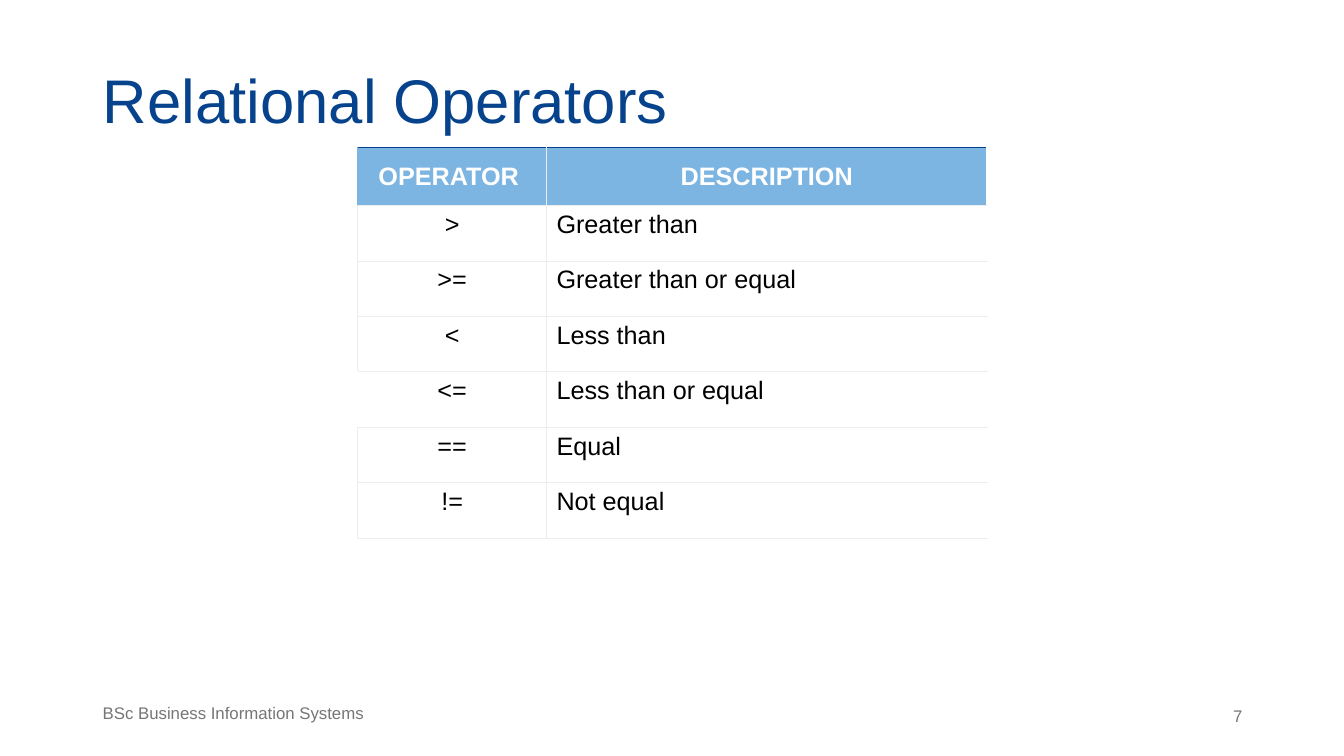
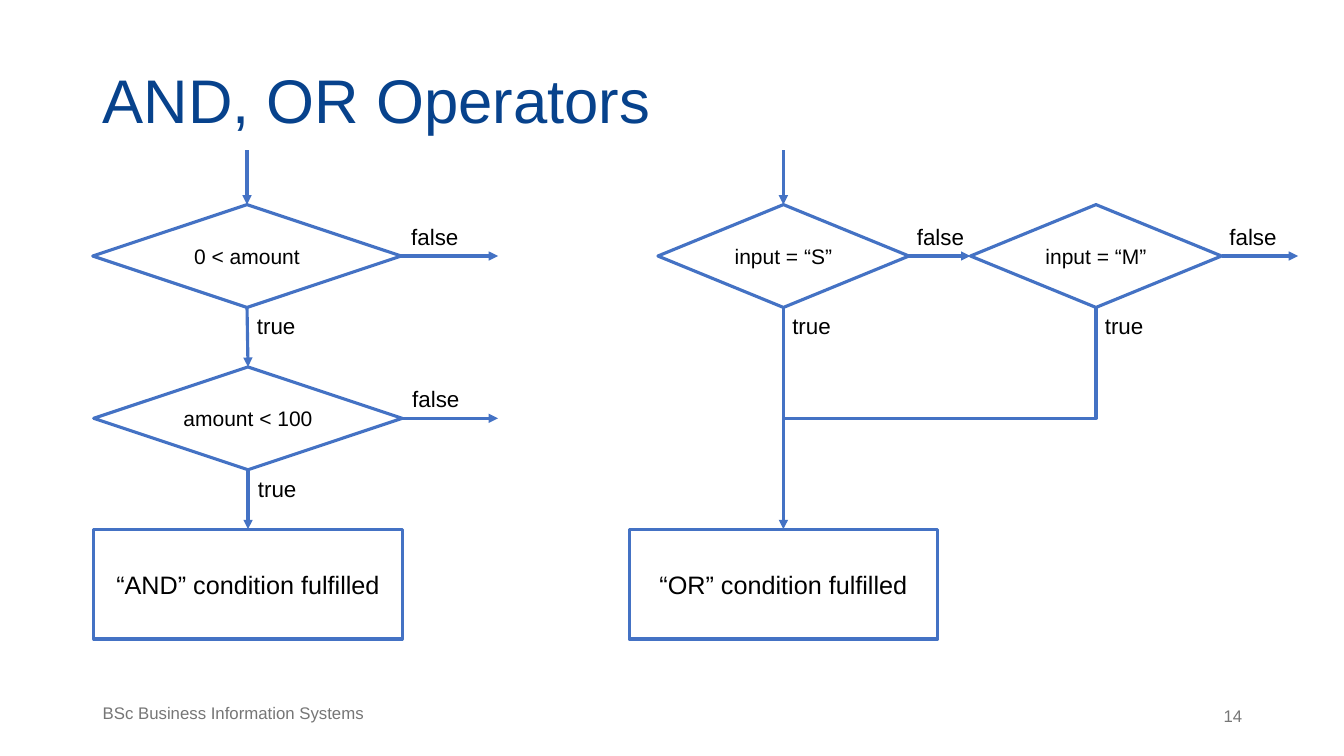
from lxml.etree import SubElement
from pptx import Presentation
from pptx.dml.color import RGBColor
from pptx.enum.shapes import MSO_CONNECTOR, MSO_SHAPE
from pptx.enum.text import MSO_ANCHOR, MSO_AUTO_SIZE, PP_ALIGN
from pptx.oxml.ns import qn
from pptx.util import Inches, Pt

FONT = "Arial"
NAVY, SKY, BLUE = "07428C", "7CB4E2", "4472C4"
WHITE, BLACK, GREY, PALE = "FFFFFF", "000000", "767676", "EDEDED"
TOP, LEFT, BOTTOM, RIGHT = range(4)
DECISION_HEIGHT = 1.02
RESULT_SIZE = (3.06, 1.09)
DECISION_DROP = 0.54
RESULT_DROP = 3.76
OPERATORS = [
    (">", "Greater than"),
    (">=", "Greater than or equal"),
    ("<", "Less than"),
    ("<=", "Less than or equal"),
    ("==", "Equal"),
    ("!=", "Not equal"),
]


def rgb(value):
    return RGBColor.from_string(value)


def apply(target, formats):
    for name, value in formats.items():
        setattr(target, name, value)


def write(frame, text, size, color=BLACK, bold=False, paragraph_format=None, **frame_format):
    apply(frame, {"word_wrap": True, **frame_format})
    frame.text = text
    paragraph = frame.paragraphs[0]
    apply(paragraph, {"alignment": PP_ALIGN.LEFT, **(paragraph_format or {})})
    font = paragraph.runs[0].font
    apply(font, {"name": FONT, "size": Pt(size), "bold": bold})
    font.color.rgb = rgb(color)


def add_label(slide, box, text, size=16, color=BLACK, paragraph_format=None, **frame_format):
    label = slide.shapes.add_textbox(*map(Inches, box))
    write(label.text_frame, text, size, color, paragraph_format=paragraph_format, **frame_format)


def add_titled_slide(deck, heading, number):
    slide = deck.slides.add_slide(deck.slide_layouts[5])
    title = slide.shapes.title
    apply(title, dict(zip(("left", "top", "width", "height"), map(Inches, (0.92, 0.52, 9.38, 0.94)))))
    margins = dict.fromkeys(("margin_left", "margin_top", "margin_right", "margin_bottom"), Inches(0.1))
    write(title.text_frame, heading, 44, NAVY, paragraph_format={"line_spacing": 0.9},
          vertical_anchor=MSO_ANCHOR.BOTTOM, auto_size=MSO_AUTO_SIZE.NONE, **margins)
    add_label(slide, (0.92, 6.94, 3.39, 0.41), "BSc Business Information Systems", 12, GREY,
              {"line_spacing": 0.9, "space_before": Pt(10)})
    add_label(slide, (10.19, 6.95, 2.23, 0.4), str(number), 12, GREY, {"alignment": PP_ALIGN.RIGHT})
    return slide


def set_borders(cell, borders):
    properties = cell._tc.get_or_add_tcPr()
    for side, (color, width) in borders.items():
        border = SubElement(properties, qn(f"a:ln{side}"), w=str(Pt(width)))
        fill = SubElement(border, qn("a:solidFill"))
        SubElement(fill, qn("a:srgbClr"), val=color)


def fill_cell(cell, text, fill, borders, color=BLACK, bold=False, centered=False):
    write(cell.text_frame, text, 18, color, bold,
          {"alignment": PP_ALIGN.CENTER if centered else PP_ALIGN.LEFT})
    set_borders(cell, borders)
    cell.fill.solid()
    cell.fill.fore_color.rgb = rgb(fill)


def add_operator_table(slide, left, top):
    widths, header_height, row_height = (1.87, 4.37), 0.57, 0.55
    height = header_height + row_height * len(OPERATORS)
    table = slide.shapes.add_table(len(OPERATORS) + 1, len(widths),
                                   *map(Inches, (left, top, sum(widths), height))).table
    apply(table, {"first_row": False, "horz_banding": False})
    for column, width in zip(table.columns, widths):
        column.width = Inches(width)
    for index, row in enumerate(table.rows):
        row.height = Inches(row_height if index else header_height)

    thin, divider = (PALE, 0.75), (PALE, 1)
    for column, heading in enumerate(("OPERATOR ", "DESCRIPTION")):
        cell = table.cell(0, column)
        sides = {"L": divider} if column else {"L": (SKY, 0.75), "R": divider}
        fill_cell(cell, heading, SKY, {**sides, "T": (NAVY, 0.75), "B": thin}, WHITE, True, True)
        margins = dict.fromkeys(("margin_left", "margin_top", "margin_right", "margin_bottom"), Inches(0.14))
        apply(cell, {"vertical_anchor": MSO_ANCHOR.MIDDLE, **margins})
    for row, (operator, description) in enumerate(OPERATORS, 1):
        edge = (WHITE, 0.75) if operator == "<=" else thin
        rules = {"T": thin, "B": thin}
        fill_cell(table.cell(row, 0), operator, WHITE, {"L": edge, "R": divider, **rules}, centered=True)
        fill_cell(table.cell(row, 1), description, WHITE, {"L": divider, **rules})


def add_step(slide, kind, box, text, size):
    step = slide.shapes.add_shape(kind, *map(Inches, box))
    step.shadow.inherit = False
    step.fill.solid()
    step.fill.fore_color.rgb = rgb(WHITE)
    step.line.color.rgb = rgb(BLUE)
    step.line.width = Pt(2.25)
    write(step.text_frame, text, size, paragraph_format={"alignment": PP_ALIGN.CENTER},
          vertical_anchor=MSO_ANCHOR.MIDDLE, margin_left=0, margin_right=0)
    return step


def add_decision(slide, left, top, width, text):
    return add_step(slide, MSO_SHAPE.FLOWCHART_DECISION, (left, top, width, DECISION_HEIGHT), text, 15)


def add_result(slide, left, top, text):
    return add_step(slide, MSO_SHAPE.RECTANGLE, (left, top, *RESULT_SIZE), text, 18)


def add_branch_labels(slide, left, top, width):
    add_label(slide, (left + width / 2, top + DECISION_HEIGHT, 0.59, 0.37), "true", word_wrap=False)
    add_label(slide, (left + width, top + 0.13, 0.68, 0.37), "false", word_wrap=False)


def add_line(slide, kind, start, end):
    line = slide.shapes.add_connector(kind, *map(Inches, (*start, *end)))
    line.line.color.rgb = rgb(BLUE)
    line.line.width = Pt(2.25)
    SubElement(line._element.spPr, qn("a:effectLst"))
    return line


def add_arrow(slide, start=(0, 0), end=(0, 0), source=None, target=None):
    arrow = add_line(slide, MSO_CONNECTOR.STRAIGHT, start, end)
    if source:
        arrow.begin_connect(*source)
    if target:
        arrow.end_connect(*target)
    SubElement(arrow.line._get_or_add_ln(), qn("a:tailEnd"), type="triangle")


def add_merge_line(slide, start, end):
    run, drop = start[0] - end[0], end[1] - start[1]
    center_x, center_y = (start[0] + end[0]) / 2, (start[1] + end[1]) / 2
    line = add_line(slide, MSO_CONNECTOR.ELBOW,
                    (center_x - drop / 2, center_y - run / 2),
                    (center_x + drop / 2, center_y + run / 2))
    properties = line._element.spPr
    properties.find(qn("a:xfrm")).set("rot", "5400000")
    properties.find(qn("a:prstGeom")).set("prst", "bentConnector2")


def add_and_flow(slide, left, top):
    width, exit_x = 3.06, left + 4.02
    first_top = top + DECISION_DROP
    second_top = first_top + 1.61
    middle = left + width / 2
    lower = add_decision(slide, left + 0.01, second_top, width, "amount < 100")
    upper = add_decision(slide, left, first_top, width, "0 < amount")
    result = add_result(slide, left + 0.01, top + RESULT_DROP, "“AND” condition fulfilled")
    add_arrow(slide, start=(middle, top), target=(upper, TOP))
    add_arrow(slide, source=(upper, BOTTOM), target=(lower, TOP))
    add_arrow(slide, source=(lower, BOTTOM), target=(result, TOP))
    for decision, decision_left, decision_top in ((upper, left, first_top), (lower, left + 0.01, second_top)):
        add_arrow(slide, source=(decision, RIGHT), end=(exit_x, decision_top + DECISION_HEIGHT / 2))
        add_branch_labels(slide, decision_left, decision_top, width)


def add_or_flow(slide, left, top):
    width, spacing = 2.49, 3.1
    first_left = left + (RESULT_SIZE[0] - width) / 2
    second_left = first_left + spacing
    decision_top = top + DECISION_DROP
    middle, second_middle = first_left + width / 2, second_left + width / 2
    decision_bottom = decision_top + DECISION_HEIGHT
    first = add_decision(slide, first_left, decision_top, width, "input = “S”")
    second = add_decision(slide, second_left, decision_top, width, "input = “M”")
    result = add_result(slide, left, top + RESULT_DROP, "“OR” condition fulfilled")
    add_arrow(slide, start=(middle, top), target=(first, TOP))
    add_arrow(slide, source=(first, RIGHT), target=(second, LEFT))
    add_arrow(slide, source=(first, BOTTOM), target=(result, TOP))
    add_arrow(slide, source=(second, RIGHT),
              end=(second_left + width + 0.76, decision_top + DECISION_HEIGHT / 2))
    add_merge_line(slide, (second_middle, decision_bottom), (middle, decision_bottom + 1.1))
    for decision_left in (first_left, second_left):
        add_branch_labels(slide, decision_left, decision_top, width - 0.02)


def main():
    deck = Presentation()
    apply(deck, {"slide_width": Inches(13.33), "slide_height": Inches(7.5)})
    relational = add_titled_slide(deck, "Relational Operators", 7)
    add_operator_table(relational, 3.55, 1.46)
    logical = add_titled_slide(deck, "AND, OR Operators", 14)
    add_and_flow(logical, 0.92, 1.49)
    add_or_flow(logical, 6.24, 1.49)
    deck.save("out.pptx")


if __name__ == "__main__":
    main()
